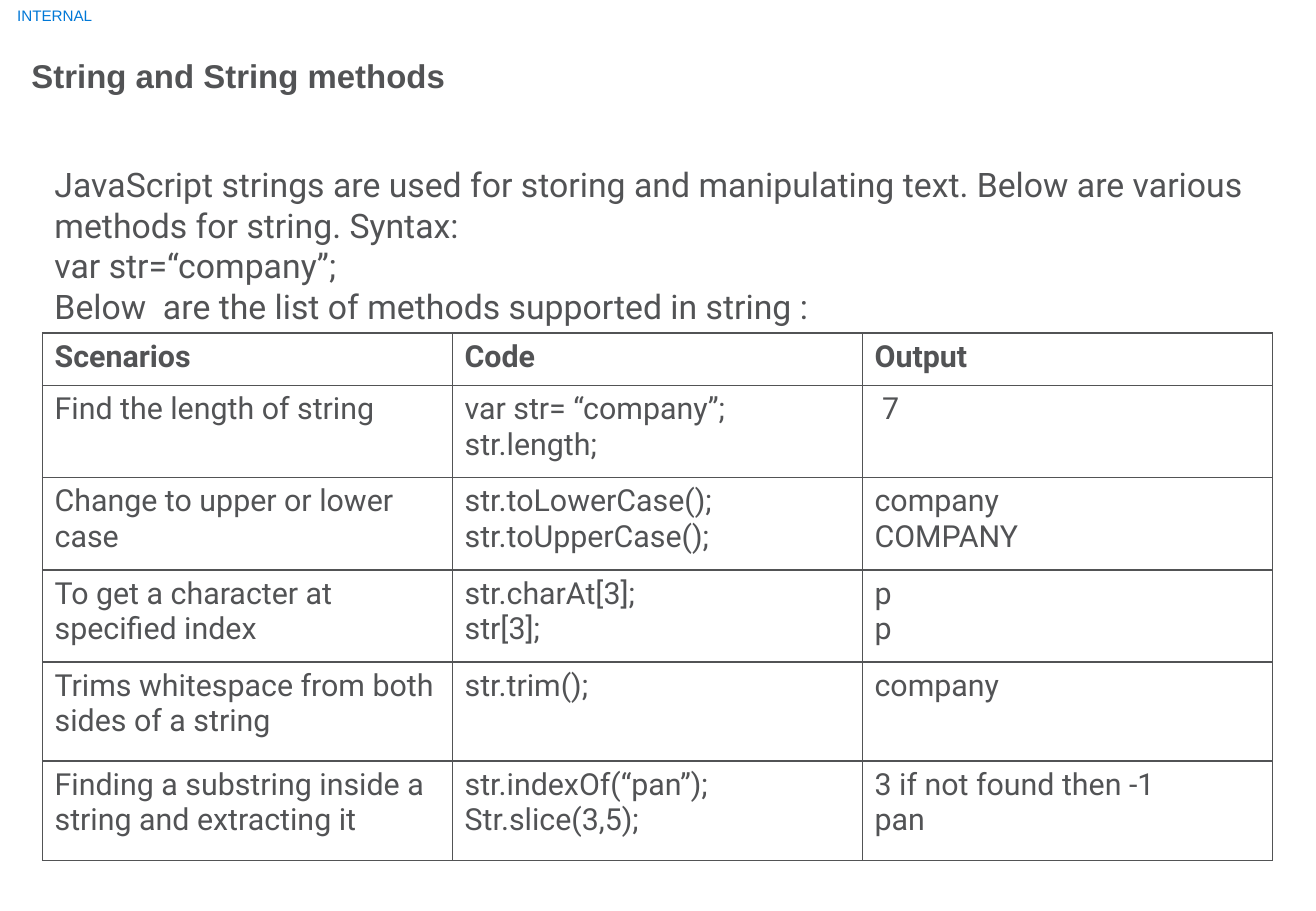
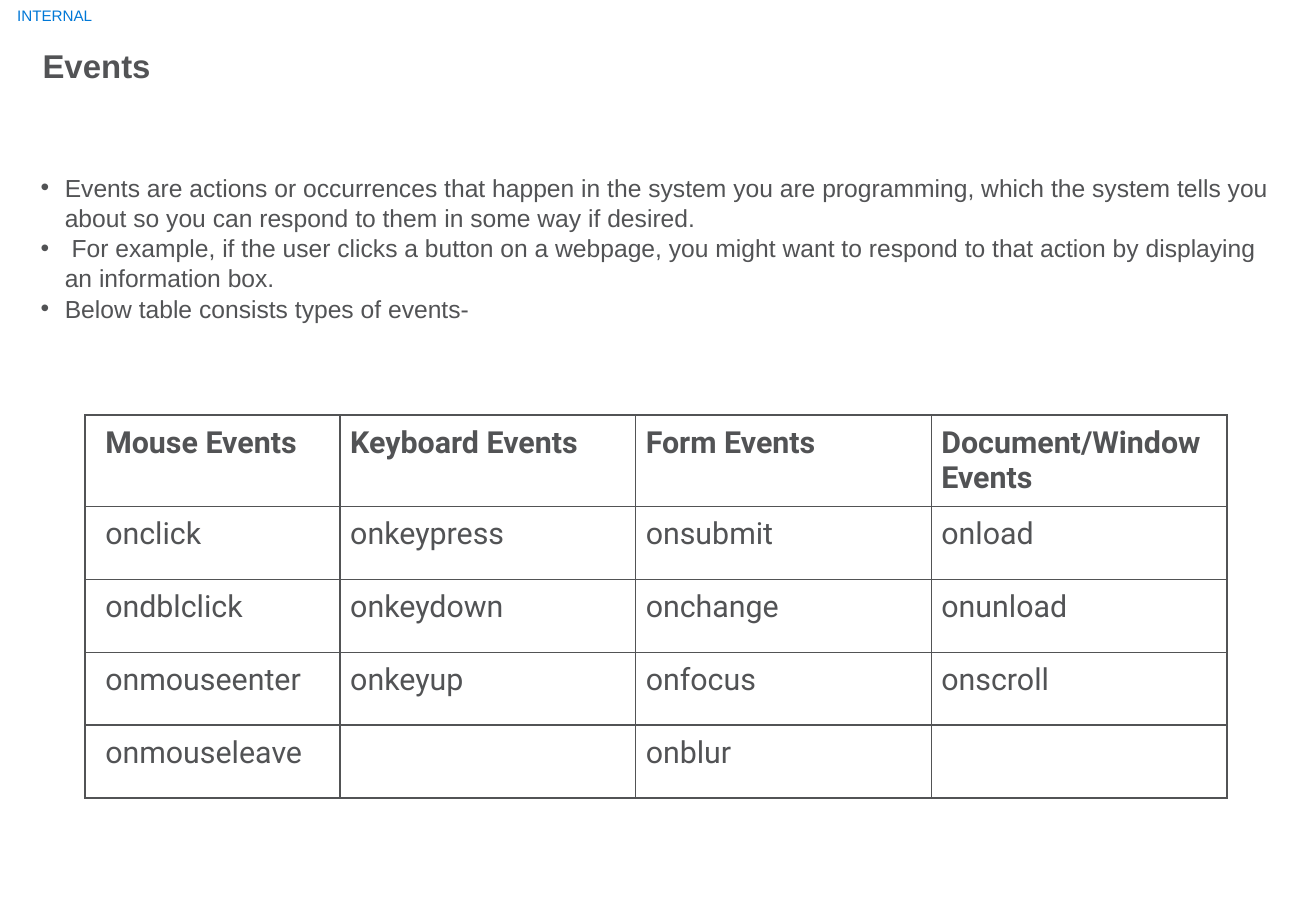
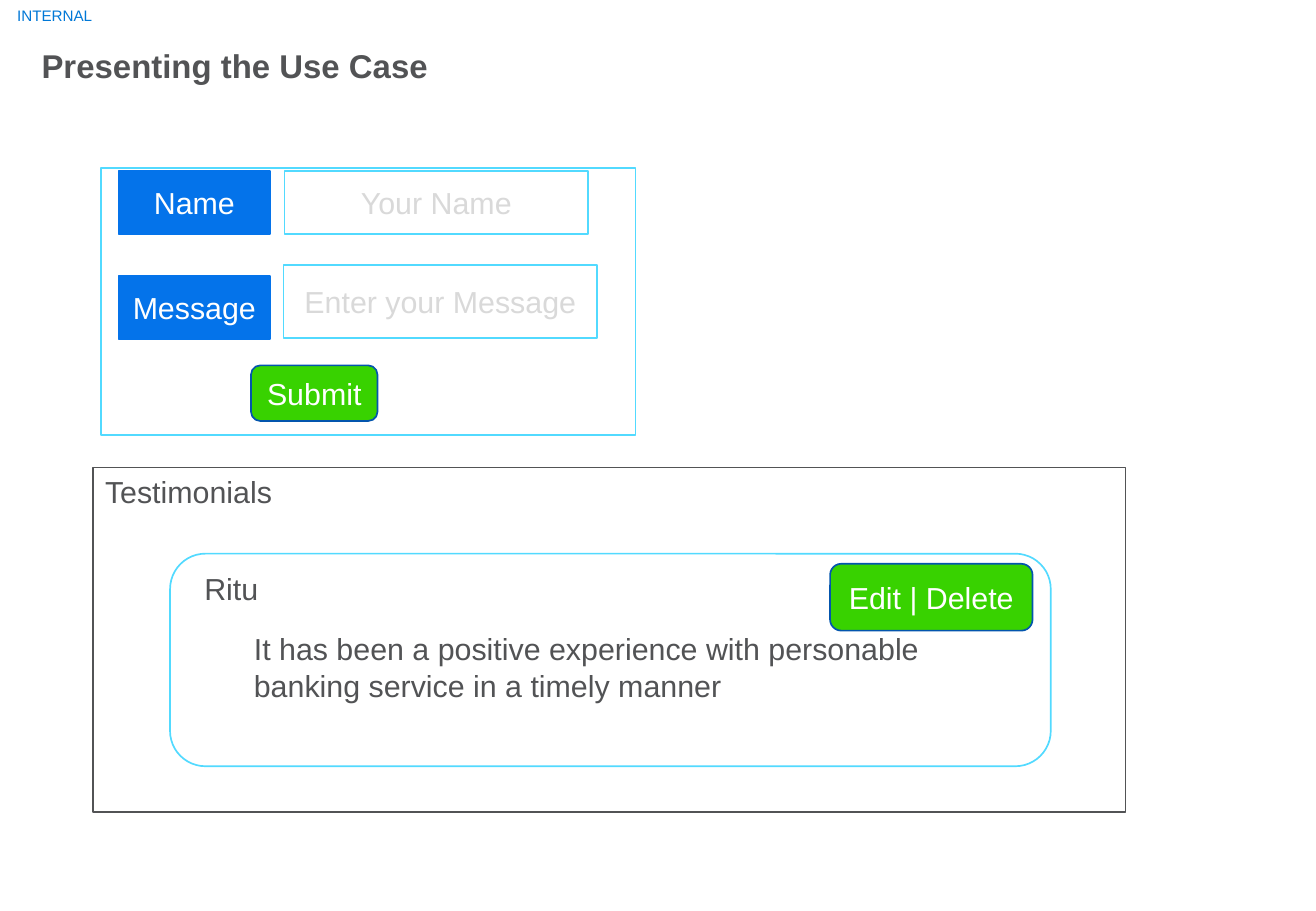
from lxml import etree
from pptx import Presentation, util as u
from pptx.dml import color
from pptx.enum import shapes, text
from pptx.oxml import ns

PX = 7620
COLORS = {
    "white": "FFFFFF",
    "ink": "525355",
    "label": "0078D7",
    "blue": "0473EA",
    "cyan": "52DAFF",
    "green": "38D200",
    "navy": "0355AD",
    "hint": "D9D9D9",
}
RGB = {name: color.RGBColor.from_string(value) for name, value in COLORS.items()}

LEFT, CENTER = text.PP_ALIGN.LEFT, text.PP_ALIGN.CENTER
TOP, MIDDLE = text.MSO_ANCHOR.TOP, text.MSO_ANCHOR.MIDDLE
NO_MARGINS = {f"margin_{side}": 0 for side in ("left", "top", "right", "bottom")}

ARIAL = {"name": "Arial", "size": u.Pt(18), "bold": False}
ROBOTO = {**ARIAL, "name": "Roboto"}
TITLE_FRAME = {**NO_MARGINS, "vertical_anchor": TOP, "word_wrap": True,
               "auto_size": text.MSO_AUTO_SIZE.NONE}
TITLE_FONT = {**ARIAL, "size": u.Pt(19.5), "bold": True}
TITLE_PARAGRAPH = {"alignment": LEFT, "line_spacing": u.Pt(22.8)}
BODY_PARAGRAPH = {"alignment": LEFT, "line_spacing": u.Pt(17.9), "space_before": u.Pt(0)}


def write_text(frame, content, font, ink="ink", paragraph_format={}, frame_format={}):
    frame.text = content
    for key, value in frame_format.items():
        setattr(frame, key, value)
    for paragraph in frame.paragraphs:
        for key, value in paragraph_format.items():
            setattr(paragraph, key, value)
        for run in paragraph.runs:
            for key, value in font.items():
                setattr(run.font, key, value)
            run.font.color.rgb = RGB[ink]


def add_grid(slide, left, top, widths, heights, rows, margins=None):
    box = [value * PX for value in (left, top, sum(widths), sum(heights))]
    table = slide.shapes.add_table(len(heights), len(widths), *box).table
    table.first_row = table.horz_banding = False
    for column, width in zip(table.columns, widths):
        column.width = width * PX
    for row, height in zip(table.rows, heights):
        row.height = height * PX
    for row_index, row in enumerate(rows):
        for column_index, content in enumerate(row):
            cell = table.cell(row_index, column_index)
            properties = cell._tc.get_or_add_tcPr()
            for side in "LRTB":
                border = etree.SubElement(properties, ns.qn(f"a:ln{side}"), w=str(u.Pt(1)))
                fill = etree.SubElement(border, ns.qn("a:solidFill"))
                etree.SubElement(fill, ns.qn("a:srgbClr"), val=COLORS["ink"])
            cell.fill.solid()
            cell.fill.fore_color.rgb = RGB["white"]
            if margins:
                cell.margin_left = margins[column_index] * PX
                cell.margin_right = cell.margin_top = cell.margin_bottom = 10 * PX
            write_text(cell.text_frame, content, {**ROBOTO, "bold": row_index == 0})


presentation = Presentation()
presentation.slide_width, presentation.slide_height = 1300 * PX, 900 * PX

slides = []
for title, left, top, layout in [
    ("String and String methods", 31, 56, 5),
    ("Events", 42, 46, 1),
    ("Presenting the Use Case", 41, 46, 5),
]:
    slide = presentation.slides.add_slide(presentation.slide_layouts[layout])
    shape = slide.shapes.title
    shape.left, shape.top, shape.width, shape.height = (
        value * PX for value in (left, top, 1219, 104))
    write_text(shape.text_frame, title, TITLE_FONT, "ink", TITLE_PARAGRAPH, TITLE_FRAME)
    slides.append(slide)
strings_slide, events_slide, use_case_slide = slides

label = strings_slide.shapes.add_textbox(0, 0, 108 * PX, 31 * PX)
write_text(label.text_frame, "INTERNAL", {**ARIAL, "size": u.Pt(9)}, "label",
           {"alignment": CENTER},
           {**NO_MARGINS, "vertical_anchor": MIDDLE, "word_wrap": False})
presentation.slide_master.shapes.element.append(label.element)

introduction = strings_slide.shapes.add_textbox(42 * PX, 156 * PX, 1249 * PX, 174 * PX)
write_text(
    introduction.text_frame,
    "JavaScript strings are used for storing and manipulating text. "
    "Below are various methods for string. Syntax:\n"
    "var str=“company”;\n"
    "Below  are the list of methods supported in string :",
    {**ROBOTO, "size": u.Pt(20)}, frame_format={"word_wrap": True})

add_grid(strings_slide, 42, 329, [405] * 3, [52, 91, 91, 91, 98, 98], [
    ("Scenarios", "Code", "Output"),
    ("Find the length of string", "var str= “company”;\nstr.length;", " 7"),
    ("Change to upper or lower case", "str.toLowerCase();\nstr.toUpperCase();",
     "company\nCOMPANY"),
    ("To get a character at specified index", "str.charAt[3];\nstr[3];", "p\np"),
    ("Trims whitespace from both sides of a string", "str.trim();", "company"),
    ("Finding a substring inside a string and extracting it",
     "str.indexOf(“pan”);\nStr.slice(3,5);", "3 if not found then -1\npan"),
])

body = events_slide.placeholders[1]
body.left, body.top, body.width, body.height = (
    value * PX for value in (40, 170, 1216, 220))
write_text(
    body.text_frame,
    "Events are actions or occurrences that happen in the system you are programming, "
    "which the system tells you about so you can respond to them in some way if desired.\n"
    " For example, if the user clicks a button on a webpage, you might want to respond "
    "to that action by displaying an information box.\n"
    "Below table consists types of events-",
    {**ARIAL, "size": u.Pt(14.6)}, "ink", BODY_PARAGRAPH, TITLE_FRAME)
for paragraph in body.text_frame.paragraphs:
    properties = paragraph._p.get_or_add_pPr()
    properties.set("marL", str(24 * PX))
    properties.set("indent", str(-24 * PX))
    etree.SubElement(properties, ns.qn("a:buChar"), char="•")

add_grid(events_slide, 84, 410, [252] + [292] * 3, [90] + [72] * 4, [
    ("Mouse Events", "Keyboard Events", "Form Events", "Document/Window Events"),
    ("onclick", "onkeypress", "onsubmit", "onload"),
    ("ondblclick", "onkeydown", "onchange", "onunload"),
    ("onmouseenter", "onkeyup", "onfocus", "onscroll"),
    ("onmouseleave", "", "onblur", ""),
], margins=[20, 10, 10, 10])

RECTANGLE = shapes.MSO_SHAPE.RECTANGLE
ROUNDED = shapes.MSO_SHAPE.ROUNDED_RECTANGLE
STYLES = {
    "panel": (RECTANGLE, "white", "cyan", "ink", LEFT, TOP),
    "section": (RECTANGLE, "white", "ink", "ink", LEFT, TOP),
    "card": (ROUNDED, "white", "cyan", "ink", LEFT, TOP),
    "field name": (RECTANGLE, "blue", "blue", "white", CENTER, MIDDLE),
    "field": (RECTANGLE, "white", "cyan", "hint", CENTER, MIDDLE),
    "button": (ROUNDED, "green", "navy", "white", CENTER, MIDDLE),
}
for style, content, *box in [
    ("panel", "", 100, 166, 528, 264),
    ("section", "Testimonials", 92, 462, 1020, 340),
    ("field name", "Name", 117, 169, 150, 62),
    ("field", "Your Name", 281, 169, 300, 62),
    ("field", "Enter your Message", 280, 262, 310, 72),
    ("field name", "Message", 117, 273, 150, 62),
    ("button", "Submit", 248, 361, 125, 55),
    ("card", "", 168, 547, 870, 210),
    ("button", "Edit | Delete", 820, 557, 200, 66),
]:
    preset, fill, line, ink, alignment, anchor = STYLES[style]
    shape = use_case_slide.shapes.add_shape(preset, *(value * PX for value in box))
    shape.shadow.inherit = False
    shape.fill.solid()
    shape.fill.fore_color.rgb = RGB[fill]
    shape.line.color.rgb = RGB[line]
    shape.line.width = u.Pt(1)
    write_text(shape.text_frame, content, ARIAL, ink, {"alignment": alignment},
               {"vertical_anchor": anchor, "word_wrap": True})

for content, *box in [
    ("Ritu", 190, 557, 110, 48),
    ("It has been a positive experience with personable banking service "
     "in a timely manner", 239, 617, 682, 85),
]:
    shape = use_case_slide.shapes.add_textbox(*(value * PX for value in box))
    write_text(shape.text_frame, content, ARIAL, frame_format={"word_wrap": True})

presentation.save("out.pptx")
